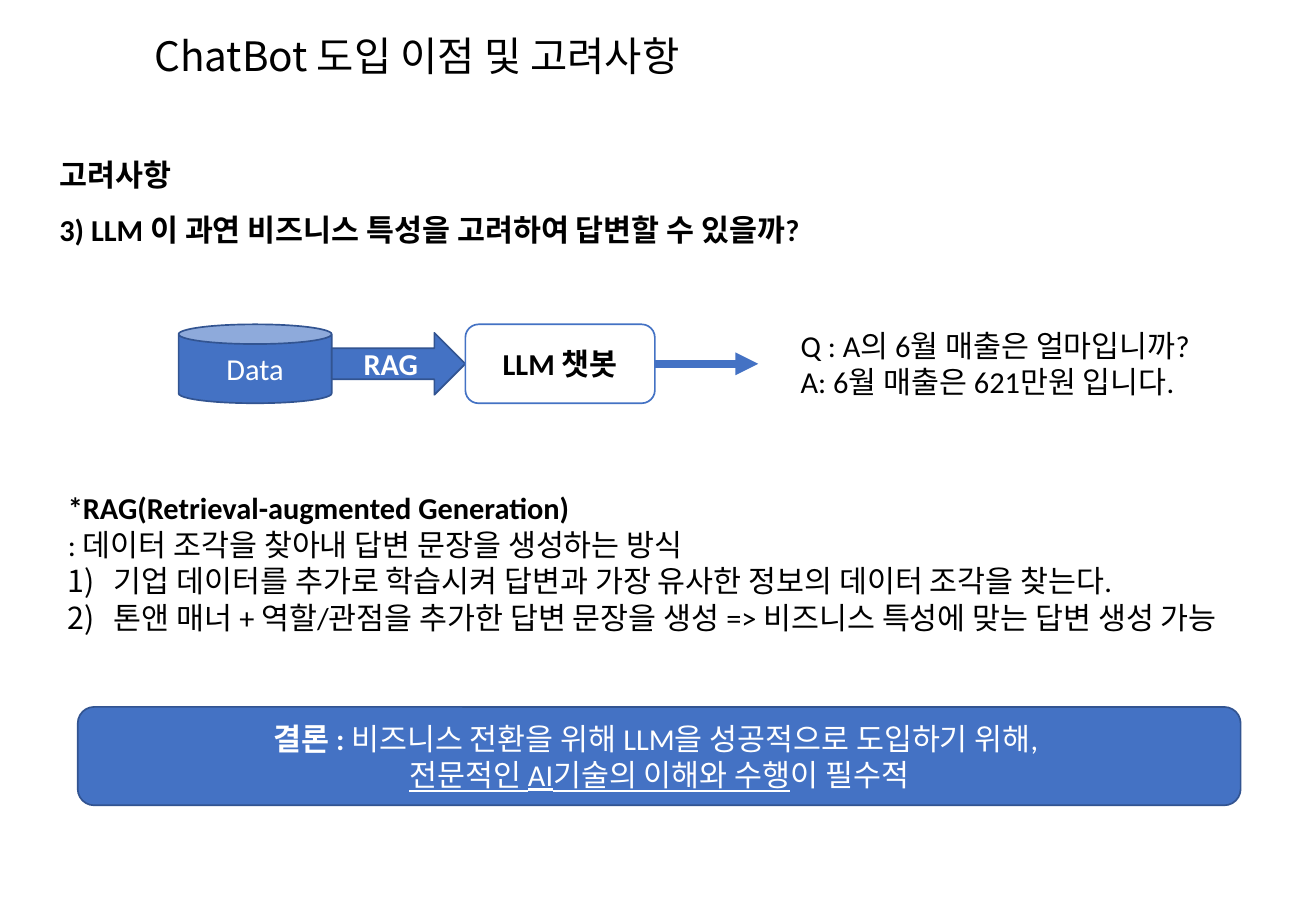
from lxml import etree
from pptx import Presentation
from pptx.dml.color import RGBColor
from pptx.enum.shapes import MSO_CONNECTOR, MSO_SHAPE
from pptx.enum.text import MSO_ANCHOR, MSO_AUTO_SIZE, PP_ALIGN
from pptx.oxml.ns import qn
from pptx.util import Inches, Pt

MIDDLE, CENTER = MSO_ANCHOR.MIDDLE, PP_ALIGN.CENTER
GROW = MSO_AUTO_SIZE.SHAPE_TO_FIT_TEXT
CAN, ARROW, ROUND = MSO_SHAPE.CAN, MSO_SHAPE.RIGHT_ARROW, MSO_SHAPE.ROUNDED_RECTANGLE
BLUE, NAVY, WHITE, BLACK = "4472C4", "325491", "FFFFFF", "000000"
CELL = Inches(0.1)


def rgb(value):
    return RGBColor.from_string(value)


def write(sp, paragraphs, color=BLACK, size=18, font="Calibri", align=None, spacing=None):
    tf = sp.text_frame
    tf.word_wrap = True
    for i, runs in enumerate(paragraphs):
        p = tf.paragraphs[0] if i == 0 else tf.add_paragraph()
        p.font.name, p.font.size = font, Pt(size)
        p.font.color.rgb = rgb(color)
        p.alignment, p.line_spacing = align, spacing
        for text, style in runs:
            r = p.add_run()
            r.text = text
            r.font.name, r.font.size = font, Pt(size)
            r.font.color.rgb = rgb(color)
            r.font.bold, r.font.underline = "b" in style, "u" in style
    return tf


prs = Presentation()
prs.slide_width, prs.slide_height = Inches(10.83), Inches(7.5)
s = prs.slides.add_slide(prs.slide_layouts[6])

title = s.shapes.add_textbox(12.3 * CELL, CELL, 93.4 * CELL, 7.6 * CELL)
tf = write(title, [[("ChatBot 도입 이점 및 고려사항", "")]],
           size=24, font="Noto Sans CJK KR", spacing=0.9)
tf.vertical_anchor = MIDDLE
tf.margin_left = tf.margin_right = tf.margin_top = tf.margin_bottom = Inches(0.04)

question = s.shapes.add_textbox(3.9 * CELL, 10.9 * CELL, 100.7 * CELL, 10.1 * CELL)
tf = write(question, [
    [("고려사항", "b")],
    [("3) LLM 이 과연 비즈니스 특성을 고려하여 답변할 수 있을까?", "b")],
], spacing=1.5)
tf.auto_size = GROW

answer = s.shapes.add_textbox(64.9 * CELL, 26.4 * CELL, 36.3 * CELL, 7.1 * CELL)
tf = write(answer, [
    [("Q : A의 6월 매출은 얼마입니까?", "")],
    [("A: 6월 매출은 621만원 입니다.", "")],
])
tf.word_wrap = False
tf.auto_size = GROW

rag = s.shapes.add_textbox(4.6 * CELL, 39.8 * CELL, 96.6 * CELL, 16.2 * CELL)
tf = write(rag, [
    [("*RAG(Retrieval-augmented Generation)", "b")],
    [(": 데이터 조각을 찾아내 답변 문장을 생성하는 방식", "")],
    [("기업 데이터를 추가로 학습시켜 답변과 가장 유사한 정보의 데이터 조각을 찾는다.", "")],
    [("톤앤 매너 + 역할/관점을 추가한 답변 문장을 생성 => 비즈니스 특성에 맞는 답변 생성 가능", "")],
])
tf.auto_size = GROW
for p in tf.paragraphs[2:]:
    pPr = p._p.get_or_add_pPr()
    pPr.set("marL", str(Inches(0.38)))
    pPr.set("indent", str(-Inches(0.38)))
    number = etree.Element(qn("a:buAutoNum"), type="arabicParenR")
    pPr.insert_element_before(number, "a:tabLst", "a:defRPr", "a:extLst")

conclusion = [
    [("결론 : ", "b"), ("비즈니스 전환을 위해 LLM을 성공적으로 도입하기 위해, ", "")],
    [("전문적인 AI기술의 이해와 수행", "u"), ("이 필수적", "")],
]
blocks = [
    (CAN, 14.7, 26.7, 12.6, 6.5, BLUE, NAVY, WHITE, [[("Data", "")]]),
    (ARROW, 27.3, 27.4, 11, 5.1, BLUE, NAVY, WHITE, [[("RAG", "b")]]),
    (ROUND, 6.4, 58.2, 95.7, 8.1, BLUE, NAVY, WHITE, conclusion),
    (ROUND, 38.3, 26.7, 15.6, 6.5, WHITE, BLUE, BLACK, [[("LLM 챗봇", "b")]]),
]
for kind, x, y, w, h, fill, line, color, paragraphs in blocks:
    sp = s.shapes.add_shape(kind, *(int(v * CELL) for v in (x, y, w, h)))
    sp.shadow.inherit = False
    sp.fill.solid()
    sp.fill.fore_color.rgb = rgb(fill)
    sp.line.color.rgb = rgb(line)
    sp.line.width = Pt(1)
    write(sp, paragraphs, color, align=CENTER).vertical_anchor = MIDDLE
chatbot = sp

flow_y = chatbot.top + chatbot.height // 2
cxn = s.shapes.add_connector(MSO_CONNECTOR.STRAIGHT, chatbot.left + chatbot.width, flow_y,
                             int(62.4 * CELL), flow_y)
cxn.begin_connect(chatbot, 3)
cxn.line.color.rgb = rgb(BLUE)
cxn.line.width = Pt(4.5)
etree.SubElement(cxn.line._get_or_add_ln(), qn("a:tailEnd"), type="triangle")
etree.SubElement(cxn._element.spPr, qn("a:effectLst"))

prs.save("out.pptx")
